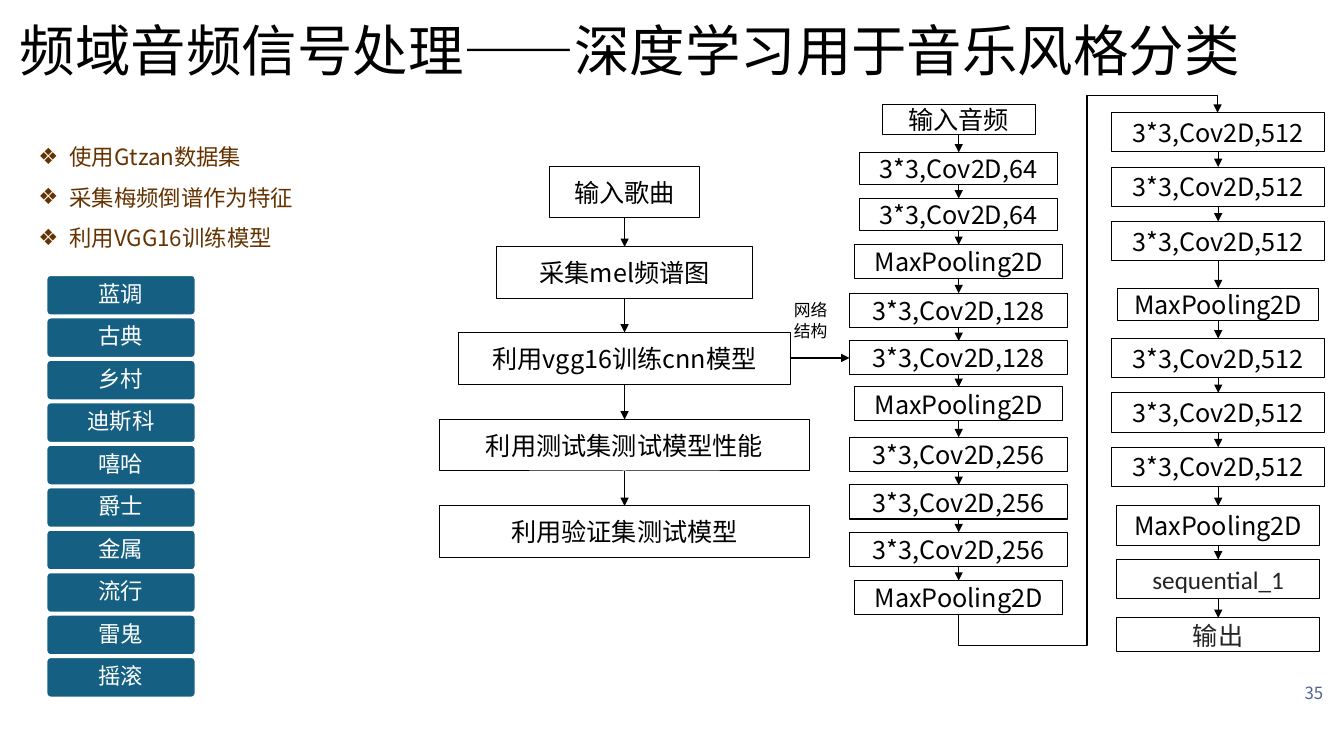
"""Build the slide on deep learning for music genre classification."""
from dataclasses import dataclass
from itertools import pairwise
from typing import Any

from lxml.etree import SubElement
from pptx import Presentation
from pptx.dml.color import RGBColor as Rgb
from pptx.enum.shapes import MSO_CONNECTOR as Link, MSO_SHAPE as Preset
from pptx.enum.text import MSO_ANCHOR as Anchor, MSO_AUTO_SIZE as Fit, PP_ALIGN as Align
from pptx.oxml.ns import qn
from pptx.util import Cm, Pt


@dataclass(frozen=True)
class TextStyle:
    size: float
    color: str
    font: str = "Noto Sans CJK SC"


@dataclass(frozen=True)
class Theme:
    cjk: str = "Noto Sans CJK SC"
    ink: str = "000000"
    white: str = "FFFFFF"
    genre: str = "156082"
    title: TextStyle = TextStyle(39.6, "000000")
    bullet: TextStyle = TextStyle(16, "663300")
    tag: TextStyle = TextStyle(16, "FFFFFF")
    node: TextStyle = TextStyle(18, "000000")
    head: TextStyle = TextStyle(18, "242424", "Calibri")
    label: TextStyle = TextStyle(12, "000000")
    page: TextStyle = TextStyle(12, "4F638F")


@dataclass(frozen=True)
class Node:
    text: str
    top: float
    width: float
    height: float
    style: TextStyle


@dataclass(frozen=True)
class Flow:
    center: float
    nodes: list[Node]


THEME = Theme()


def steps(texts: list[str], tops: list[float], width: float, height: float,
          style: TextStyle = THEME.node) -> list[Node]:
    """Return nodes of one size."""
    return [Node(text, top, width, height, style) for text, top in zip(texts, tops)]


def convolutions(first_top: float) -> list[Node]:
    """Return three evenly spaced 512-channel layers."""
    return steps(["3*3,Cov2D,512"] * 3, [first_top + 1.37 * i for i in range(3)], 5.36, 0.99)


POOL = "MaxPooling2D"
TRAINING = Flow(15.74, [
    *steps(["输入歌曲"], [4.19], 3.76, 1.3),
    *steps(["采集mel频谱图"], [6.22], 6.45, 1.3),
    *steps(["利用vgg16训练cnn模型"], [8.38], 8.36, 1.3),
    *steps(["利用测试集测试模型性能", "利用验证集测试模型"], [10.57, 12.75], 9.32, 1.3),
])
EARLY_LAYERS = Flow(24.16, [
    *steps(["输入音频"], [2.64], 3.86, 0.75),
    *steps(["3*3,Cov2D,64"] * 2, [3.84, 5], 5, 0.81),
    *steps([POOL], [6.17], 5.26, 0.86),
    *steps(["3*3,Cov2D,128"] * 2, [7.39, 8.59], 5.51, 0.86),
    *steps([POOL], [9.75], 5.26, 0.86),
    *steps(["3*3,Cov2D,256"] * 3, [11.02, 12.22, 13.41], 5.51, 0.86),
    *steps([POOL], [14.63], 5.26, 0.86),
])
LATE_LAYERS = Flow(30.7, [
    *convolutions(2.84),
    *steps([POOL], [7.26], 5.05, 0.81),
    *convolutions(8.53),
    *steps([POOL], [12.75], 5.11, 0.99),
    *steps(["sequential_1"], [14.1], 5.11, 0.99, THEME.head),
    *steps(["输出"], [15.57], 5.11, 0.86, THEME.head),
])
GENRES = ["蓝调", "古典", "乡村", "迪斯科", "嘻哈", "爵士", "金属", "流行", "雷鬼", "摇滚"]
POINTS = ["使用Gtzan数据集", "采集梅频倒谱作为特征", "利用VGG16训练模型"]


def apply(target: Any, values: dict[str, Any]) -> None:
    """Set each named attribute on the target."""
    for name, value in values.items():
        setattr(target, name, value)


def place(shape: Any, left: float, top: float, width: float, height: float) -> None:
    """Position a shape in centimetres."""
    apply(shape, {"left": Cm(left), "top": Cm(top), "width": Cm(width), "height": Cm(height)})


def write(shape: Any, lines: list[str], style: TextStyle, paragraph: dict[str, Any],
          frame: dict[str, Any]) -> None:
    """Fill a shape with styled paragraphs."""
    apply(shape.text_frame, {"word_wrap": True, "auto_size": Fit.NONE} | frame)
    shape.text_frame.text = "\n".join(lines)
    for line in shape.text_frame.paragraphs:
        apply(line, paragraph)
        font = line.runs[0].font
        apply(font, {"size": Pt(style.size), "name": style.font})
        font.color.rgb = Rgb.from_string(style.color)
        SubElement(line.runs[0]._r.rPr, qn("a:ea"), typeface=THEME.cjk)


def outline(shape: Any, color: str, width: float) -> None:
    """Give a shape a solid outline and no shadow."""
    shape.shadow.inherit = False
    shape.line.color.rgb = Rgb.from_string(color)
    shape.line.width = Pt(width)


def draw_arrow(slide: Any, start: tuple[float, float], end: tuple[float, float],
               kind: Link = Link.STRAIGHT) -> Any:
    """Draw an arrow between two points and return it."""
    arrow = slide.shapes.add_connector(kind, *map(Cm, (*start, *end)))
    arrow.line.color.rgb = Rgb.from_string(THEME.ink)
    arrow.line.width = Pt(1)
    SubElement(arrow.line._get_or_add_ln(), qn("a:tailEnd"), type="triangle")
    SubElement(arrow._element.spPr, qn("a:effectLst"))
    return arrow


def draw_flow(slide: Any, flow: Flow) -> None:
    """Draw a column of boxes joined by arrows."""
    for node in flow.nodes:
        box = slide.shapes.add_shape(Preset.RECTANGLE, Cm(flow.center - node.width / 2),
                                     Cm(node.top), Cm(node.width), Cm(node.height))
        box.fill.background()
        outline(box, THEME.ink, 0.75)
        write(box, [node.text], node.style, {"alignment": Align.CENTER},
              {"vertical_anchor": Anchor.MIDDLE})
    for upper, lower in pairwise(flow.nodes):
        draw_arrow(slide, (flow.center, upper.top + upper.height), (flow.center, lower.top))


def draw_return_path(slide: Any) -> None:
    """Lead the foot of the early layers round to the top of the late ones."""
    arrow = draw_arrow(slide, (0, 0), (1, 1), Link.ELBOW)
    place(arrow, 21.11, 5.89, 12.62, 6.53)
    properties = arrow._element.spPr
    apply_xml = {"rot": "5400000", "flipH": "1", "flipV": "1"}
    for name, value in apply_xml.items():
        properties.find(qn("a:xfrm")).set(name, value)
    geometry = properties.find(qn("a:prstGeom"))
    geometry.set("prst", "bentConnector5")
    bends = geometry.get_or_add_avLst()
    for number, bend in enumerate((-6400, 49600, 103500), 1):
        SubElement(bends, qn("a:gd"), name=f"adj{number}", fmla=f"val {bend}")


def draw_genres(slide: Any) -> None:
    """Draw the stack of genre tags."""
    for row, genre in enumerate(GENRES):
        tag = slide.shapes.add_shape(Preset.ROUNDED_RECTANGLE, Cm(1.17), Cm(6.93 + 1.07 * row),
                                     Cm(3.76), Cm(1.02))
        tag.adjustments[0] = 0.1
        tag.fill.solid()
        tag.fill.fore_color.rgb = Rgb.from_string(THEME.genre)
        outline(tag, THEME.white, 1.5)
        write(tag, [genre], THEME.tag, {"alignment": Align.CENTER, "line_spacing": 0.9},
              {"vertical_anchor": Anchor.MIDDLE, "margin_top": Cm(0.08),
               "margin_bottom": Cm(0.08)})


def draw_points(points: Any) -> None:
    """Fill the body placeholder with the bulleted points."""
    place(points, 0, 3.15, 8.66, 3.43)
    write(points, POINTS, THEME.bullet,
          {"level": 1, "line_spacing": 1.5, "space_before": Pt(0), "alignment": Align.LEFT},
          {"vertical_anchor": Anchor.TOP})
    for point in points.text_frame.paragraphs:
        properties = point._p.get_or_add_pPr()
        properties.set("marL", str(Cm(1.5)))
        properties.set("indent", str(-Cm(0.79)))
        SubElement(properties, qn("a:buChar"), char="❖")


def main() -> None:
    """Assemble and save the slide."""
    deck = Presentation()
    apply(deck, {"slide_width": Cm(33.87), "slide_height": Cm(19.05)})
    slide = deck.slides.add_slide(deck.slide_layouts[1])
    title, points = slide.placeholders
    place(title, 0.25, 0.46, 33.35, 1.78)
    write(title, ["频域音频信号处理——深度学习用于音乐风格分类"], THEME.title,
          {"alignment": Align.LEFT, "line_spacing": 0.9}, {"vertical_anchor": Anchor.MIDDLE})
    draw_points(points)
    for flow in (TRAINING, EARLY_LAYERS, LATE_LAYERS):
        draw_flow(slide, flow)
    draw_arrow(slide, (19.9, 9.02), (21.41, 9.02))
    draw_return_path(slide)
    network = slide.shapes.add_textbox(Cm(19.76), Cm(7.44), Cm(1.6), Cm(1.63))
    write(network, ["网络", "结构"], THEME.label, {},
          {"word_wrap": False, "auto_size": Fit.SHAPE_TO_FIT_TEXT})
    draw_genres(slide)
    page = slide.shapes.add_textbox(Cm(25.98), Cm(16.94), Cm(7.62), Cm(1.02))
    write(page, ["35"], THEME.page, {"alignment": Align.RIGHT},
          {"vertical_anchor": Anchor.MIDDLE})
    deck.save("out.pptx")


if __name__ == "__main__":
    main()
